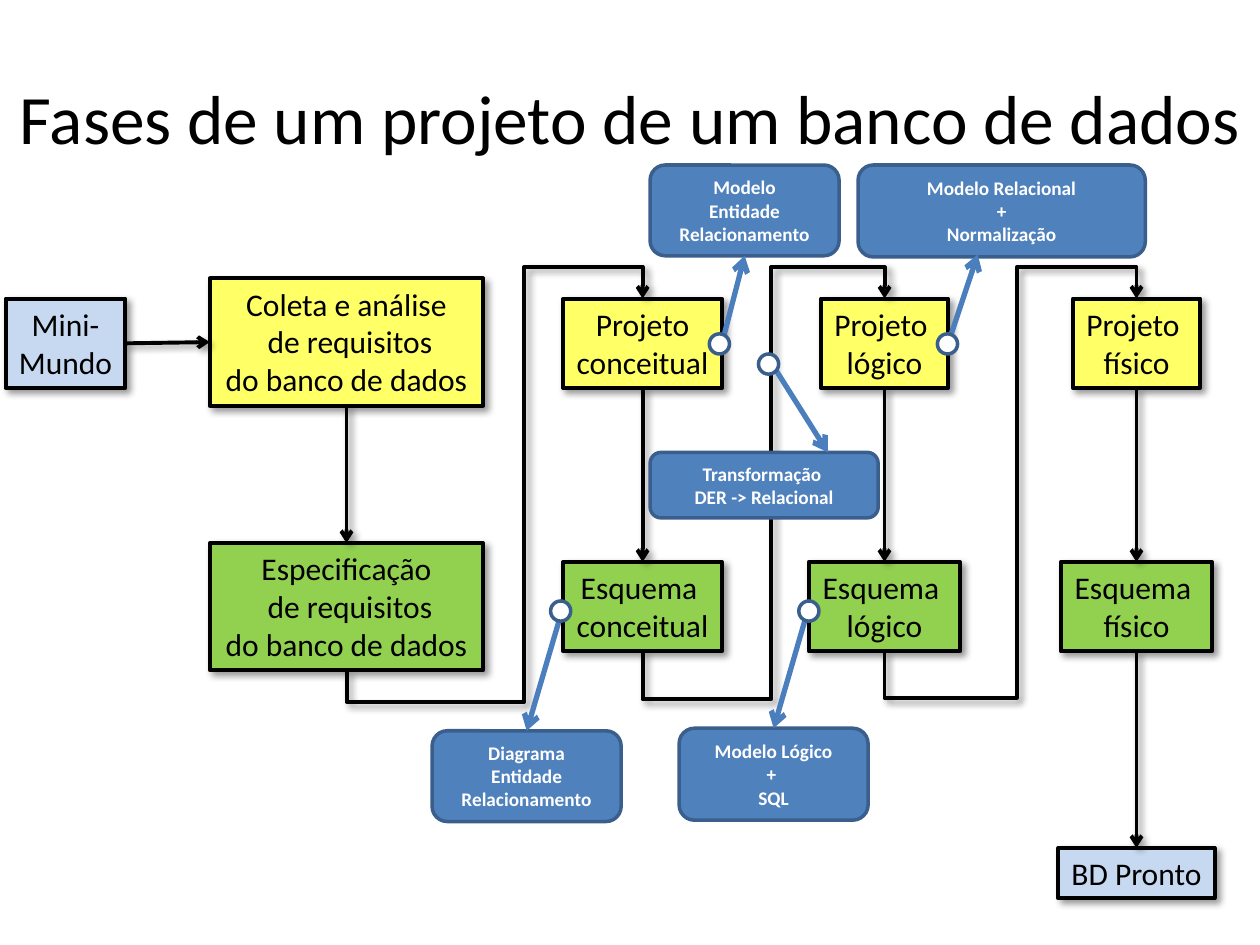
"""Build a slide showing the phases of a database project."""
from pptx import Presentation, util as u
from pptx.dml.color import RGBColor
from pptx.enum import shapes, text
from pptx.oxml import parse_xml
from pptx.oxml.ns import nsdecls, qn

COLORS = {
    "black": "000000", "white": "FFFFFF", "start": "C6D9F1", "project": "FFFF66",
    "schema": "92D050", "note": "4F81BD", "note_line": "3A5F8C", "pointer": "4B7EBC",
}
TOP, LEFT, BOTTOM, RIGHT = range(4)
SHADOW = (
    '<a:outerShdw %s blurRad="50800" dist="38100" dir="2700000" algn="tl" rotWithShape="0">'
    '<a:srgbClr val="000000"><a:alpha val="40000"/></a:srgbClr></a:outerShdw>'
)


class Diagram:
    def __init__(self, slide, font="Calibri"):
        self.slide = slide
        self.font = font

    def color(self, name):
        return RGBColor.from_string(COLORS[name])

    def set_lines(self, frame, lines, size, color, bold=False):
        frame.text = "\n".join(lines)
        for paragraph in frame.paragraphs:
            paragraph.alignment = text.PP_ALIGN.CENTER
            paragraph.font.name = self.font
            paragraph.font.size = u.Pt(size)
            paragraph.font.bold = bold
            paragraph.font.color.rgb = self.color(color)

    def title(self, wording):
        title = self.slide.shapes.title
        title.left, title.top = u.Inches(0), u.Inches(0.3)
        title.width, title.height = u.Inches(10), u.Inches(1.25)
        title.text_frame.vertical_anchor = text.MSO_ANCHOR.MIDDLE
        title.text_frame.auto_size = text.MSO_AUTO_SIZE.NONE
        self.set_lines(title.text_frame, [wording], 39.6, "black")

    def shape(self, kind, place, fill, line, width):
        shape = self.slide.shapes.add_shape(kind, *map(u.Inches, place))
        shape.shadow.inherit = False
        shape.fill.solid()
        shape.fill.fore_color.rgb = self.color(fill)
        shape.line.color.rgb = self.color(line)
        shape.line.width = u.Pt(width)
        return shape

    def step(self, center, top, width, height, fill, lines):
        place = (center - width / 2, top, width, height)
        box = self.shape(shapes.MSO_SHAPE.RECTANGLE, place, fill, "black", 2.25)
        box._element.spPr.find(qn("a:effectLst")).append(parse_xml(SHADOW % nsdecls("a")))
        frame = box.text_frame
        frame.word_wrap = False
        frame.vertical_anchor = text.MSO_ANCHOR.TOP
        frame.auto_size = text.MSO_AUTO_SIZE.SHAPE_TO_FIT_TEXT
        self.set_lines(frame, lines, 18, "black")
        return box

    def note(self, place, lines):
        box = self.shape(shapes.MSO_SHAPE.ROUNDED_RECTANGLE, place, "note", "note_line", 2)
        box.text_frame.word_wrap = True
        box.text_frame.vertical_anchor = text.MSO_ANCHOR.MIDDLE
        self.set_lines(box.text_frame, lines, 11, "white", bold=True)
        return box

    def dot(self, x, y):
        size = 0.16
        place = (x - size / 2, y - size / 2, size, size)
        self.shape(shapes.MSO_SHAPE.OVAL, place, "white", "note_line", 2)

    def style_arrow(self, arrow, color, width, shadow):
        arrow.line.color.rgb = self.color(color)
        arrow.line.width = u.Pt(width)
        properties = arrow._element.spPr
        properties.find(qn("a:ln")).append(
            parse_xml('<a:tailEnd %s type="arrow"/>' % nsdecls("a")))
        effects = parse_xml("<a:effectLst %s/>" % nsdecls("a"))
        if shadow:
            effects.append(parse_xml(SHADOW % nsdecls("a")))
        properties.append(effects)

    def arrow(self, start=(0, 0), end=(0, 0), source=None, target=None,
              color="black", width=2.25):
        arrow = self.slide.shapes.add_connector(
            shapes.MSO_CONNECTOR.STRAIGHT, *map(u.Inches, start + end))
        if source:
            arrow.begin_connect(*source)
        if target:
            arrow.end_connect(*target)
        self.style_arrow(arrow, color, width, color == "black")

    def pointer(self, **ends):
        self.arrow(color="pointer", width=3, **ends)

    def detour(self, start, end, low, middle, high):
        (x1, y1), (x2, y2) = start, end
        length, breadth = y1 - y2, x2 - x1
        left, top = (x1 + x2 - length) / 2, (y1 + y2 - breadth) / 2
        arrow = self.slide.shapes.add_connector(
            shapes.MSO_CONNECTOR.ELBOW,
            *map(u.Inches, (left, top, left + length, top + breadth)))
        properties = arrow._element.spPr
        for name, value in (("rot", "5400000"), ("flipH", "1"), ("flipV", "1")):
            properties.find(qn("a:xfrm")).set(name, value)
        ratios = ((y1 - low) / length, (middle - x1) / breadth, (y1 - high) / length)
        guides = "".join(
            f'<a:gd name="adj{number}" fmla="val {round(ratio * 100000)}"/>'
            for number, ratio in enumerate(ratios, 1))
        geometry = parse_xml(
            f'<a:prstGeom {nsdecls("a")} prst="bentConnector5">'
            f"<a:avLst>{guides}</a:avLst></a:prstGeom>")
        properties.replace(properties.find(qn("a:prstGeom")), geometry)
        self.style_arrow(arrow, "black", 2.25, True)


def main():
    deck = Presentation()
    deck.slide_width, deck.slide_height = u.Inches(10), u.Inches(7.5)
    page = Diagram(deck.slides.add_slide(deck.slide_layouts[5]))
    page.title("Fases de um projeto de um banco de dados")

    project_top, schema_top, height = 2.37, 4.46, 0.71
    requirements = [" de requisitos", "do banco de dados"]
    world = page.step(0.52, project_top, 0.95, height, "start", ["Mini-", "Mundo"])
    analysis = page.step(2.75, 2.21, 2.17, 1.01, "project",
                         ["Coleta e análise"] + requirements)
    specification = page.step(2.75, 4.31, 2.17, 1.01, "schema",
                              ["Especificação"] + requirements)
    columns = [
        (5.1, 1.26, 1.26, "Projeto", "conceitual"),
        (7.02, 1.01, 1.2, "Projeto ", "lógico"),
        (9.02, 1.01, 1.2, "Projeto ", "físico"),
    ]
    projects, schemas = [], []
    for center, project_width, schema_width, heading, level in columns:
        projects.append(page.step(center, project_top, project_width, height,
                                  "project", [heading, level]))
        schemas.append(page.step(center, schema_top, schema_width, height,
                                 "schema", ["Esquema ", level]))
    ready = page.step(9.02, 6.73, 1.24, 0.4, "start", ["BD Pronto"])

    page.arrow(source=(world, RIGHT), target=(analysis, LEFT))
    downward = [(analysis, specification), *zip(projects, schemas), (schemas[2], ready)]
    for upper, lower in downward:
        page.arrow(source=(upper, BOTTOM), target=(lower, TOP))
    for x1, y1, x2, low, middle in [
        (2.75, 5.32, 5.1, 5.57, 4.16),
        (5.1, 5.17, 7.02, 5.55, 6.12),
        (7.02, 5.17, 9.02, 5.54, 8.07),
    ]:
        page.detour((x1, y1), (x2, project_top), low, middle, 2.12)

    entity = ["Entidade", "Relacionamento"]
    model = page.note((5.16, 1.31, 1.5, 0.72), ["Modelo"] + entity)
    page.pointer(source=(projects[0], RIGHT), target=(model, BOTTOM))
    drawing = page.note((3.43, 5.8, 1.5, 0.72), ["Diagrama"] + entity)
    page.pointer(source=(schemas[0], LEFT), target=(drawing, TOP))
    page.note((6.81, 1.31, 2.28, 0.73), ["Modelo Relacional", "+", "Normalização"])
    page.pointer(source=(projects[1], RIGHT), end=(7.76, 2.02))
    logical = page.note((5.39, 5.78, 1.5, 0.73), ["Modelo Lógico", "+ ", "SQL"])
    page.pointer(source=(schemas[1], LEFT), target=(logical, TOP))
    page.note((5.16, 3.59, 1.81, 0.52), ["Transformação ", "DER -> Relacional"])
    page.pointer(start=(6.16, 2.94), end=(6.57, 3.59))

    for x, y in [(4.45, 4.85), (5.71, 2.73), (6.42, 4.85), (6.1, 2.89), (7.52, 2.73)]:
        page.dot(x, y)
    deck.save("out.pptx")


if __name__ == "__main__":
    main()
